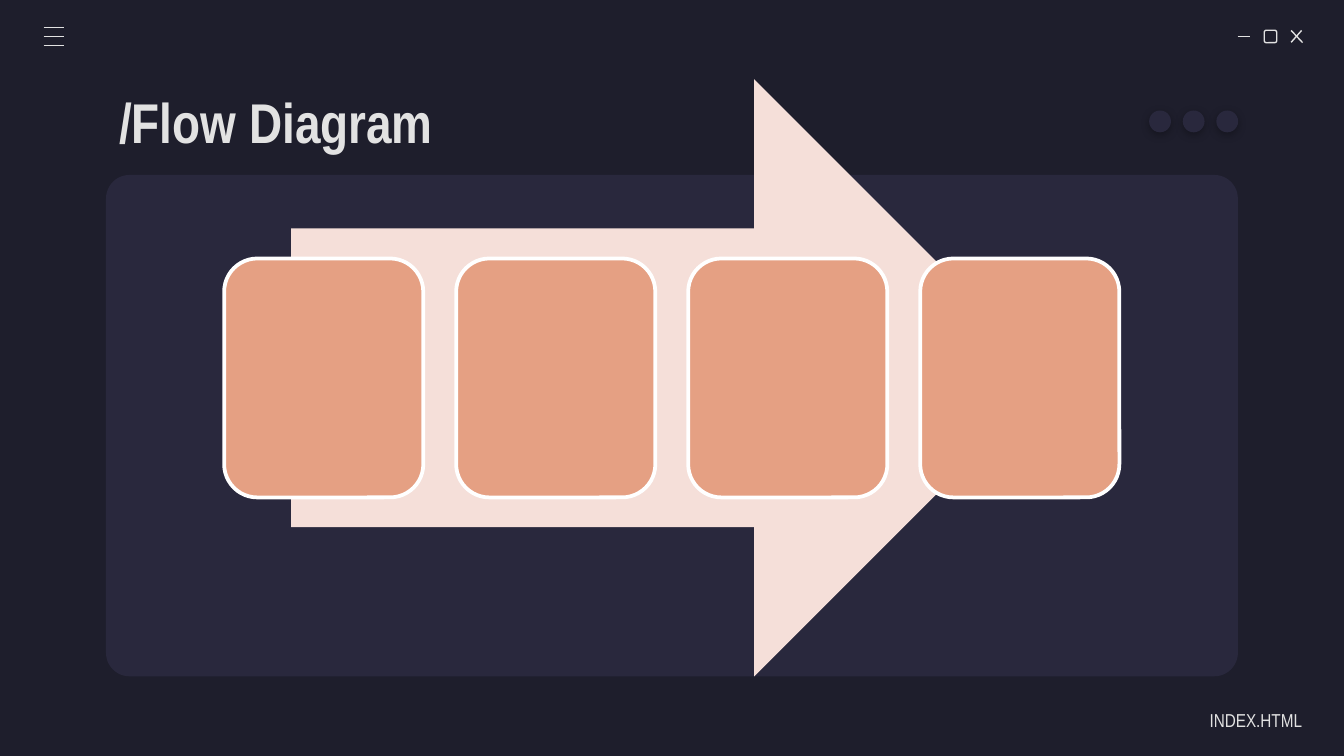
import pptx
import pptx.dml.color
import pptx.enum.shapes
import pptx.enum.text
import pptx.oxml
import pptx.oxml.ns
import pptx.util

Pt = pptx.util.Pt
SHAPE = pptx.enum.shapes.MSO_SHAPE
ALIGN = pptx.enum.text.PP_ALIGN


def color(value):
    return pptx.dml.color.RGBColor.from_string(value)


class Deck:
    font = "Arial Narrow"
    background = "1E1E2C"
    panel = "29283D"
    light = "E2E2E2"
    arrow = "F5DFD9"
    card = "E5A083"
    white = "FFFFFF"

    def __init__(self, width, height):
        self.prs = pptx.Presentation()
        self.prs.slide_width, self.prs.slide_height = Pt(width), Pt(height)
        self.slide = self.prs.slides.add_slide(self.prs.slide_layouts[6])
        fill = self.slide.background.fill
        fill.solid()
        fill.fore_color.rgb = color(self.background)

    def shape(self, kind, x, y, w, h, fill=None, line=None, weight=0.75, adj=None):
        sp = self.slide.shapes.add_shape(kind, Pt(x), Pt(y), Pt(w), Pt(h))
        sp.shadow.inherit = False
        if fill:
            sp.fill.solid()
            sp.fill.fore_color.rgb = color(fill)
        else:
            sp.fill.background()
        if line:
            sp.line.color.rgb = color(line)
            sp.line.width = Pt(weight)
        else:
            sp.line.fill.background()
        if adj is not None:
            sp.adjustments[0] = adj
        return sp

    def dot(self, x, y, size):
        sp = self.shape(SHAPE.OVAL, x, y, size, size, self.panel)
        effects = sp._element.spPr.find(pptx.oxml.ns.qn("a:effectLst"))
        effects.append(pptx.oxml.parse_xml(
            f'<a:outerShdw {pptx.oxml.ns.nsdecls("a")} blurRad="{Pt(4.5)}" '
            f'dist="{Pt(1.5)}" dir="5400000" algn="bl" rotWithShape="0">'
            '<a:srgbClr val="000000"><a:alpha val="30000"/></a:srgbClr>'
            '</a:outerShdw>'))

    def line(self, x1, y1, x2, y2):
        cxn = self.slide.shapes.add_connector(
            pptx.enum.shapes.MSO_CONNECTOR.STRAIGHT, Pt(x1), Pt(y1), Pt(x2), Pt(y2))
        cxn.line.color.rgb = color(self.light)
        cxn.line.width = Pt(0.75)
        cxn._element.spPr.append(pptx.oxml.parse_xml(
            f'<a:effectLst {pptx.oxml.ns.nsdecls("a")}/>'))

    def text(self, text, x, y, w, h, size, bold=False, align=ALIGN.LEFT, right=7.2):
        tf = self.slide.shapes.add_textbox(Pt(x), Pt(y), Pt(w), Pt(h)).text_frame
        tf.word_wrap = True
        tf.vertical_anchor = pptx.enum.text.MSO_ANCHOR.MIDDLE
        tf.margin_left = tf.margin_top = tf.margin_bottom = Pt(7.2)
        tf.margin_right = Pt(right)
        p = tf.paragraphs[0]
        p.text = text
        p.alignment = align
        p.font.name = self.font
        p.font.size = Pt(size)
        p.font.bold = bold
        p.font.color.rgb = color(self.light)


def main():
    deck = Deck(720, 405)
    deck.shape(SHAPE.ROUNDED_RECTANGLE, 56.8, 93.75, 606.4, 268.6, deck.panel, adj=0.047)

    deck.line(663, 19.5, 669.7, 19.5)
    deck.shape(SHAPE.ROUNDED_RECTANGLE, 677.3, 16.2, 6.7, 6.7, line=deck.light)
    deck.line(691.7, 16.3, 697.8, 22.8)
    deck.line(697.3, 16.3, 691.7, 22.7)

    deck.text("/Flow Diagram", 56.8, 42.5, 606.4, 45.1, 30, bold=True)

    for i in range(3):
        y = 14.6 + i * 4.9
        deck.line(23.4, y, 34.2, y)

    deck.text("INDEX.HTML", 613.2, 374.7, 84.3, 21.6, 10, align=ALIGN.RIGHT, right=0)

    for i in range(3):
        deck.dot(615.6 + i * 18, 59.2, 11.7)

    deck.shape(SHAPE.RIGHT_ARROW, 156, 42.4, 408, 320, deck.arrow)
    for i in range(4):
        deck.shape(SHAPE.ROUNDED_RECTANGLE, 120.1 + i * 124.3, 138.5, 106.7, 128,
                   deck.card, deck.white, 2)

    deck.prs.save("out.pptx")


if __name__ == "__main__":
    main()
